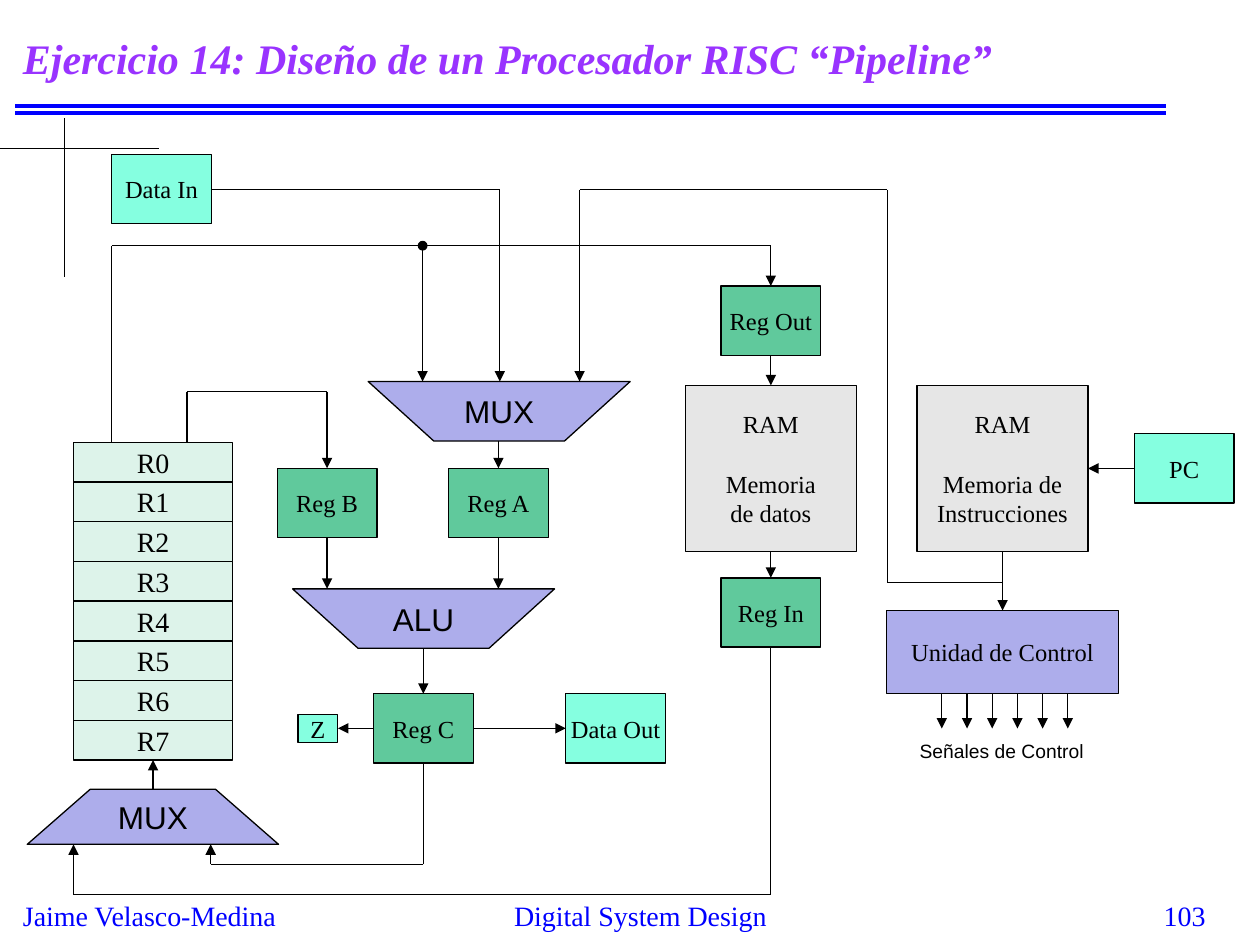
import lxml.etree
import pptx
import pptx.dml.color
import pptx.enum.shapes
import pptx.enum.text
import pptx.oxml.ns
import pptx.util

Pt = pptx.util.Pt
RGB = pptx.dml.color.RGBColor.from_string
PP_ALIGN = pptx.enum.text.PP_ALIGN
MSO_ANCHOR = pptx.enum.text.MSO_ANCHOR
MSO_SHAPE = pptx.enum.shapes.MSO_SHAPE
STRAIGHT = pptx.enum.shapes.MSO_CONNECTOR.STRAIGHT
qn = pptx.oxml.ns.qn


class Theme:
    serif, sans = "Times New Roman", "Arial"
    black, blue, purple = RGB("000000"), RGB("0000FF"), RGB("9933FF")
    lilac, green, mint = RGB("ADADEB"), RGB("60C99C"), RGB("DDF3EA")
    aqua, grey = RGB("85FFE0"), RGB("E6E6E6")
    title, unit, register, box, note = 24, 18, 16, 14, 11
    thin, thick = 0.75, 2.25


def write(sp, text, size=Theme.box, font=Theme.serif, color=Theme.black, bold=False,
          italic=False, align=PP_ALIGN.CENTER, anchor=MSO_ANCHOR.MIDDLE, wrap=False, gap=0):
    tf = sp.text_frame
    tf.word_wrap = wrap
    tf.vertical_anchor = anchor
    for i, line in enumerate(text.split("\n")):
        p = tf.add_paragraph() if i else tf.paragraphs[0]
        p.alignment = align
        if i == 1:
            p.space_before = Pt(gap)
        r = p.add_run()
        r.text = line
        r.font.name, r.font.size = font, Pt(size)
        r.font.bold, r.font.italic = bold, italic
        r.font.color.rgb = color


def route(points, start=None, end=None, arrow=True, color=Theme.black, width=Theme.thin):
    last = len(points) - 2
    for i, (a, b) in enumerate(zip(points, points[1:])):
        c = s.shapes.add_connector(STRAIGHT, Pt(a[0]), Pt(a[1]), Pt(b[0]), Pt(b[1]))
        c.line.color.rgb = color
        c.line.width = Pt(width)
        sp_pr = c.element.spPr
        if arrow and i == last:
            lxml.etree.SubElement(sp_pr.find(qn("a:ln")), qn("a:tailEnd"), type="triangle")
        lxml.etree.SubElement(sp_pr, qn("a:effectLst"))
        if start and i == 0:
            c.begin_connect(boxes[start[0]], start[1])
        if end and i == last:
            c.end_connect(boxes[end[0]], end[1])


prs = pptx.Presentation()
prs.slide_width, prs.slide_height = Pt(720), Pt(540)
s = prs.slides.add_slide(prs.slide_layouts[6])
TOP, LEFT, BOTTOM, RIGHT = range(4)

for y in (60.4, 64.7):
    route([(8.6, y), (666, y)], arrow=False, color=Theme.blue, width=Theme.thick)
route([(0, 84.8), (90.7, 84.8)], arrow=False)
route([(36.9, 67.7), (36.9, 158.4)], arrow=False)

footer = dict(size=Theme.register, color=Theme.blue, anchor=MSO_ANCHOR.TOP)
labels = [
    ("Ejercicio 14: Diseño de un Procesador RISC “Pipeline”", 6, 6, 660, 54,
     dict(size=Theme.title, color=Theme.purple, bold=True, italic=True,
          align=PP_ALIGN.LEFT, wrap=True)),
    ("Jaime Velasco-Medina", 6, 510, 162, 26.6, dict(footer, align=PP_ALIGN.LEFT)),
    ("Digital System Design", 240, 510, 252, 24, dict(footer, wrap=True)),
    ("103", 546, 510, 150, 18, dict(footer, align=PP_ALIGN.RIGHT, wrap=True)),
    ("Señales de Control", 518.4, 419, 109.4, 20.9,
     dict(size=Theme.note, font=Theme.sans, align=PP_ALIGN.LEFT, anchor=MSO_ANCHOR.TOP)),
]
for text, x, y, w, h, style in labels:
    write(s.shapes.add_textbox(Pt(x), Pt(y), Pt(w), Pt(h)), text, **style)

W, H = 57, 39.6
blocks = [
    ("Reg B", 158.4, 267.6, W, H, Theme.green),
    ("Reg A", 256.3, 267.6, W, H, Theme.green),
    ("Data In", 63.8, 88.3, W, H, Theme.aqua),
    ("Reg C", 213.4, 396.4, W, H, Theme.green),
    ("Data Out", 323.3, 396.4, W, H, Theme.aqua),
    ("RAM\nMemoria\nde datos", 391.6, 220.2, 97.8, 95, Theme.grey),
    ("Reg Out", 412, 163.5, W, H, Theme.green),
    ("Reg In", 412, 330.2, W, H, Theme.green),
    ("RAM\nMemoria de\nInstrucciones", 524, 220.2, 97.8, 95, Theme.grey),
    ("PC", 648.2, 247.9, W, H, Theme.aqua),
    ("Unidad de Control", 506.7, 348.9, 132.4, 47.5, Theme.lilac),
    ("Z", 170.3, 408.2, 22.8, 16, Theme.aqua),
]
blocks += [(f"R{i}", 42, 252.7 + 22.7 * i, 91, 22.7, Theme.mint) for i in range(8)]
boxes = {}
for text, x, y, w, h, fill in blocks:
    sp = s.shapes.add_shape(MSO_SHAPE.RECTANGLE, Pt(x), Pt(y), Pt(w), Pt(h))
    sp.shadow.inherit = False
    sp.fill.solid()
    sp.fill.fore_color.rgb = fill
    sp.line.color.rgb = Theme.black
    sp.line.width = Pt(Theme.thin)
    write(sp, text, size=Theme.register if fill == Theme.mint else Theme.box, gap=17)
    boxes[text.split("\n")[-1]] = sp

units = [
    ("ALU", 167.2, 316.9, 336.5, 370.5, 149.6, 37.5),
    ("MUX", 210.4, 360.1, 218, 252, 149.6, 37.5),
    ("MUX", 15.6, 159.2, 482.5, 451, 144, 36),
]
for text, x1, x2, wide, narrow, w, inset in units:
    builder = s.shapes.build_freeform(Pt(x1), Pt(wide), scale=1.0)
    builder.add_line_segments([(Pt(x1 + inset), Pt(narrow)), (Pt(x2 - inset), Pt(narrow)),
                               (Pt(x2), Pt(wide))], close=True)
    sp = builder.convert_to_shape()
    sp.shadow.inherit = False
    sp.fill.solid()
    sp.fill.fore_color.rgb = Theme.lilac
    sp.line.color.rgb = Theme.black
    sp.line.width = Pt(Theme.thin)
    write(sp, text, size=Theme.unit, font=Theme.sans)

route([(63.8, 252.7), (63.8, 140.4), (440.5, 140.4), (440.5, 163.5)], end=("Reg Out", TOP))
route([(241.5, 140.4), (241.5, 218)])
route([(106.8, 252.7), (106.8, 223.8), (186.9, 223.8), (186.9, 267.6)], end=("Reg B", TOP))
route([(120.8, 108.1), (285.6, 108.1), (285.6, 218)], start=("Data In", RIGHT))
route([(284.8, 252), (284.8, 267.6)], end=("Reg A", TOP))
for name, x in (("Reg B", 186.9), ("Reg A", 284.8)):
    route([(x, 307.2), (x, 336.5)], start=(name, BOTTOM))
route([(241.9, 370.5), (241.9, 396.4)], end=("Reg C", TOP))
route([(241.9, 436), (241.9, 494), (120.4, 494), (120.4, 482.5)], start=("Reg C", BOTTOM))
route([(440.5, 369.8), (440.5, 511.3), (42, 511.3), (42, 482.5)], start=("Reg In", BOTTOM))
route([(87.5, 451), (87.5, 434.3)], end=("R7", BOTTOM))
route([(572.9, 333), (507, 333), (507, 108.4), (331.2, 108.4), (331.2, 218)])

joins = [
    ("Reg Out", BOTTOM, "de datos", TOP),
    ("de datos", BOTTOM, "Reg In", TOP),
    ("Reg C", RIGHT, "Data Out", LEFT),
    ("Reg C", LEFT, "Z", RIGHT),
    ("PC", LEFT, "Instrucciones", RIGHT),
    ("Instrucciones", BOTTOM, "Unidad de Control", TOP),
]
for source, out_side, target, in_side in joins:
    route([(0, 0), (0, 0)], start=(source, out_side), end=(target, in_side))
for i in range(6):
    x = 538.2 + 14.4 * i
    route([(x, 396.4), (x, 416.3)])

sp = s.shapes.add_shape(MSO_SHAPE.OVAL, Pt(239.7), Pt(138.6), Pt(3.6), Pt(3.6))
sp.shadow.inherit = False
sp.fill.solid()
sp.fill.fore_color.rgb = Theme.black
sp.line.color.rgb = Theme.black
sp.line.width = Pt(2)

prs.save("out.pptx")
